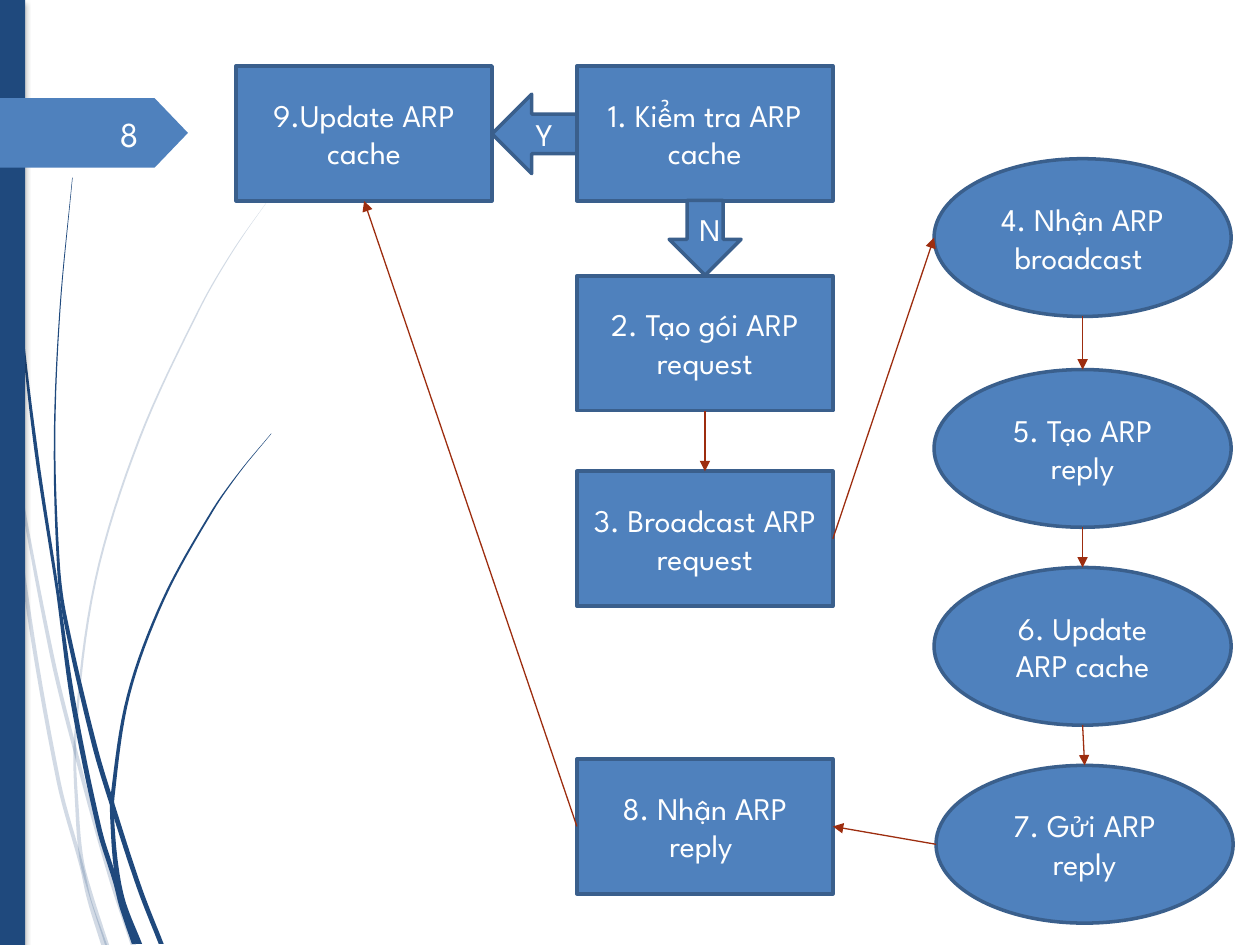
from lxml import etree
from pptx import Presentation
from pptx.dml.color import RGBColor
from pptx.enum.shapes import MSO_CONNECTOR, MSO_SHAPE
from pptx.enum.text import MSO_ANCHOR, PP_ALIGN
from pptx.oxml.ns import qn
from pptx.util import Cm, Pt

RECTANGLE, OVAL = MSO_SHAPE.RECTANGLE, MSO_SHAPE.OVAL
DOWN_ARROW, LEFT_ARROW = MSO_SHAPE.DOWN_ARROW, MSO_SHAPE.LEFT_ARROW
PENTAGON = MSO_SHAPE.PENTAGON
STRAIGHT = MSO_CONNECTOR.STRAIGHT
MIDDLE = MSO_ANCHOR.MIDDLE
CENTER, RIGHT = PP_ALIGN.CENTER, PP_ALIGN.RIGHT

FONT = "League Spartan"
COLORS = {
    "navy": "1F497D",
    "blue": "4F81BD",
    "border": "3A5F8C",
    "link": "9D2D0F",
    "white": "FFFFFF",
    "number": "FEFFFF",
    "shadow": "000000",
}

NODE_SIZES = {RECTANGLE: (5.16, 2.72), OVAL: (5.99, 3.18)}
CACHE_LEFT, SENDER_LEFT, RECEIVER_LEFT = 4.76, 11.63, 18.83
STEPS = {
    9: ("9.Update ARP cache", RECTANGLE, CACHE_LEFT, 1.33),
    8: ("8. Nhận ARP reply ", RECTANGLE, SENDER_LEFT, 15.3),
    3: ("3. Broadcast ARP request", RECTANGLE, SENDER_LEFT, 9.5),
    2: ("2. Tạo gói ARP request", RECTANGLE, SENDER_LEFT, 5.56),
    1: ("1. Kiểm tra ARP cache", RECTANGLE, SENDER_LEFT, 1.33),
    4: ("4. Nhận ARP broadcast ", OVAL, RECEIVER_LEFT, 3.2),
    5: ("5. Tạo ARP reply", OVAL, RECEIVER_LEFT, 7.45),
    6: ("6. Update ARP cache", OVAL, RECEIVER_LEFT, 11.44),
    7: ("7. Gửi ARP reply", OVAL, 18.87, 15.43),
}
LINKS = [
    (3, "right", 4, "left"),
    (4, "bottom", 5, "top"),
    (5, "bottom", 6, "top"),
    (6, "bottom", 7, "top"),
    (7, "left", 8, "right"),
    (2, "bottom", 3, "top"),
    (8, "left", 9, "bottom"),
]
SIDES = {"left": (0, 0.5), "right": (1, 0.5), "top": (0.5, 0), "bottom": (0.5, 1)}

PALE_STRANDS = [
    [(0.05, 7.5, 0.05), (0.28, 9.14, 0.05), (1.05, 13.23, 0.08),
     (1.6, 15.44, 0.08), (2.2, 17.6, 0.08), (2.69, 19.05, 0.11)],
    [(0.2, 8.89, 0), (0.52, 11.93, 0.08), (1.18, 15.75, 0.08),
     (1.65, 17.48, 0.08), (1.8, 18.14, 0.08), (2.1, 19.05, 0.12)],
    [(5.51, 3.89, 0), (4.72, 5.02, 0.02), (4.03, 6.21, 0.03), (2.81, 8.85, 0.04),
     (1.92, 11.72, 0.04), (1.52, 14.83, 0.05), (1.56, 16.41, 0.07),
     (1.65, 17.35, 0.08), (1.83, 18.03, 0.08), (2.16, 19.05, 0.08)],
]
DARK_STRANDS = [
    [(0.06, 0, 0.02), (0.1, 1.22, 0.02), (0.14, 2.79, 0.03), (0.37, 5.92, 0.03),
     (0.72, 9.02, 0.07), (1.17, 11.99, 0.06), (1.47, 14.13, 0.1), (2, 16.71, 0.1),
     (2.33, 17.78, 0.1), (2.46, 18.29, 0.1), (2.7, 19.03, 0.08)],
    [(1.46, 3.58, 0.01), (1.21, 6.22, 0.02), (1.1, 8.86, 0.03), (1.18, 11.43, 0.06),
     (1.31, 12.45, 0.08), (1.9, 15.01, 0.1), (2.29, 16.31, 0.1),
     (2.82, 17.93, 0.1), (3.25, 19.03, 0.1)],
    [(5.47, 8.74, 0.01), (4.85, 9.49, 0.02), (4.28, 10.3, 0.04), (3.3, 12.07, 0.05),
     (2.59, 14.01, 0.06), (2.27, 16.05, 0.08), (2.27, 16.66, 0.08),
     (2.35, 17.55, 0.1), (2.49, 18.21, 0.1), (2.8, 19.03, 0.13)],
]
STEPS_PER_SPAN = 8
UNITS_PER_CM = 1000


def color(name):
    """Return the named palette colour."""
    return RGBColor.from_string(COLORS[name])


def paint(shape, fill, line=None):
    """Give a shape a flat fill, an optional border and no shadow."""
    shape.shadow.inherit = False
    shape.fill.solid()
    shape.fill.fore_color.rgb = color(fill)
    if line:
        shape.line.color.rgb = color(line)
        shape.line.width = Pt(2)
    else:
        shape.line.fill.background()


def add_alpha(tint, percent):
    """Make a colour element partly transparent."""
    etree.SubElement(tint, qn("a:alpha"), val=str(percent * 1000))


def write(shape, text, size, ink, align):
    """Set one formatted paragraph, centred vertically."""
    frame = shape.text_frame
    frame.text = text
    frame.word_wrap = True
    frame.vertical_anchor = MIDDLE
    para = frame.paragraphs[0]
    para.alignment = align
    span = para.runs[0]
    span.font.name = FONT
    span.font.size = Pt(size)
    span.font.color.rgb = color(ink)


def add_preset(page, kind, left, top, width, height, fill, line=None):
    """Add a painted preset shape, measured in centimetres."""
    shape = page.shapes.add_shape(kind, Cm(left), Cm(top), Cm(width), Cm(height))
    paint(shape, fill, line)
    return shape


def add_node(page, kind, text, left, top, width, height):
    """Add a bordered flowchart shape with its label."""
    shape = add_preset(page, kind, left, top, width, height, "blue", "border")
    write(shape, text, 18, "white", CENTER)
    return shape


def knot_slopes(knots):
    """Return the sideways drift per unit of height at each knot."""
    before = [knots[0], *knots[:-1]]
    after = [*knots[1:], knots[-1]]
    return [(b[0] - a[0]) / (b[1] - a[1]) for a, b in zip(before, after)]


def smooth_points(knots):
    """Join (x, y, width) knots with cubic Hermite spans along y."""
    slopes = knot_slopes(knots)
    points = []
    for start, end, slope_in, slope_out in zip(knots, knots[1:], slopes, slopes[1:]):
        (x0, y0, width0), (x1, y1, width1) = start, end
        height = y1 - y0
        for step in range(STEPS_PER_SPAN):
            t = step / STEPS_PER_SPAN
            blend = t * t * (3 - 2 * t)
            bend = t * (1 - t) * ((1 - t) * slope_in - t * slope_out)
            x = x0 + (x1 - x0) * blend + height * bend
            points.append((x, y0 + height * t, width0 + (width1 - width0) * t))
    return [*points, knots[-1]]


def strand_edge(points, side):
    """Return one edge of a strand: side is -1 for left and 1 for right."""
    return [((x + side * width / 2) * UNITS_PER_CM, y * UNITS_PER_CM)
            for x, y, width in points]


def add_strand(page, knots, opacity=100):
    """Draw a tapering grass strand from (x, y, width) knots."""
    points = smooth_points(knots)
    outline = strand_edge(points, -1) + strand_edge(points, 1)[::-1]
    builder = page.shapes.build_freeform(*outline[0], scale=Cm(1) / UNITS_PER_CM)
    builder.add_line_segments(outline[1:], close=True)
    strand = builder.convert_to_shape()
    paint(strand, "navy")
    if opacity < 100:
        add_alpha(next(strand.element.spPr.iter(qn("a:srgbClr"))), opacity)


def add_side_bar(page):
    """Add the navy side bar with its soft shadow."""
    bar = add_preset(page, RECTANGLE, 0, 0, 0.51, 19.05, "navy")
    effects = bar.element.spPr.find(qn("a:effectLst"))
    shadow = etree.SubElement(effects, qn("a:outerShdw"), blurRad=str(Pt(3)),
                              dist=str(Pt(2)), dir="5400000", rotWithShape="0")
    tint = etree.SubElement(shadow, qn("a:srgbClr"), val=COLORS["shadow"])
    add_alpha(tint, 25)


def add_page_tag(page, number):
    """Add the pointed tag and the page number on it."""
    tag = add_preset(page, PENTAGON, 0, 1.98, 3.79, 1.4, "blue")
    tag.adjustments[0] = 0.48
    box = page.shapes.add_textbox(Cm(1.42), Cm(2.18), Cm(1.63), Cm(1.02))
    write(box, number, 20, "number", RIGHT)


def edge_point(shape, side):
    """Return the middle of one side of a shape."""
    across, down = SIDES[side]
    return (shape.left + round(shape.width * across),
            shape.top + round(shape.height * down))


def add_link(page, start, end):
    """Add a thin line with an arrowhead at its end."""
    link = page.shapes.add_connector(STRAIGHT, *start, *end)
    link.line.color.rgb = color("link")
    link.line.width = Pt(0.75)
    properties = link.element.spPr
    etree.SubElement(properties.find(qn("a:ln")), qn("a:tailEnd"), type="triangle")
    etree.SubElement(properties, qn("a:effectLst"))


def main():
    """Build the ARP flowchart slide."""
    deck = Presentation()
    deck.slide_width, deck.slide_height = Cm(25.4), Cm(19.05)
    page = deck.slides.add_slide(deck.slide_layouts[6])
    for strands, opacity in ((PALE_STRANDS, 20), (DARK_STRANDS, 100)):
        for knots in strands:
            add_strand(page, knots, opacity)
    add_side_bar(page)
    add_page_tag(page, "8")
    nodes = {step: add_node(page, kind, text, left, top, *NODE_SIZES[kind])
             for step, (text, kind, left, top) in STEPS.items()}
    add_node(page, DOWN_ARROW, "N", 13.49, 4.04, 1.45, 1.51)
    add_node(page, LEFT_ARROW, "Y", 9.92, 1.9, 1.71, 1.6)
    for start, start_side, end, end_side in LINKS:
        add_link(page, edge_point(nodes[start], start_side),
                 edge_point(nodes[end], end_side))
    deck.save("out.pptx")


if __name__ == "__main__":
    main()
